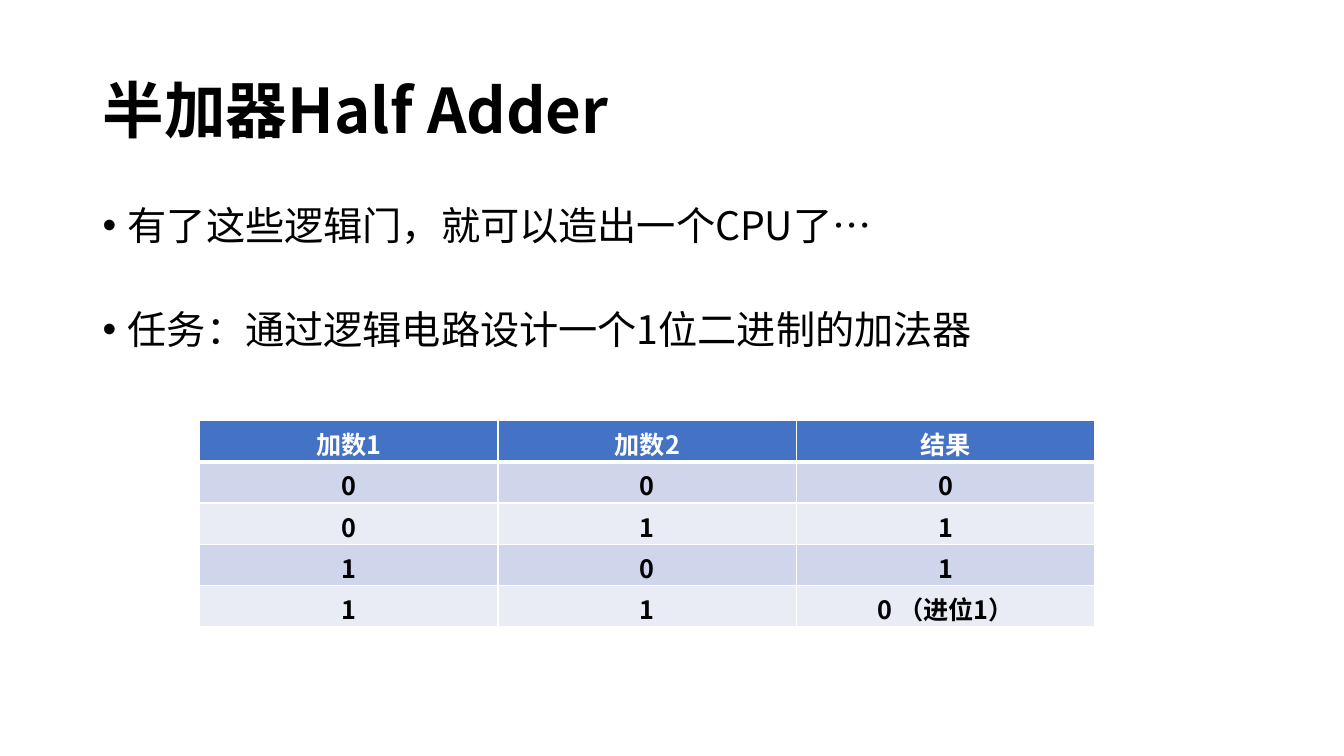
from dataclasses import dataclass

from lxml import etree
from pptx import Presentation
from pptx import util as u
from pptx.dml.color import RGBColor
from pptx.enum import text
from pptx.oxml import ns

PX = 9144  # EMU in one px, at 100 px to the inch


@dataclass(frozen=True)
class Theme:
    font: str = "Noto Sans CJK SC"
    ink: str = "000000"
    paper: str = "FFFFFF"
    header: str = "4472C4"
    bands: tuple[str, str] = ("CFD5EA", "E9EBF5")
    title_size: int = 44
    body_size: int = 28
    table_size: int = 18


@dataclass(frozen=True)
class Area:
    left: int
    top: int
    width: int
    height: int

    def emu(self) -> list[int]:
        return [px * PX for px in (self.left, self.top, self.width, self.height)]


@dataclass(frozen=True)
class Bullet:
    words: str
    space_before: int


THEME = Theme()
PAGE = Area(0, 0, 1333, 750)
TITLE = Area(92, 40, 1150, 145)
BODY = Area(92, 200, 1150, 189)
TABLE = Area(198, 417, 888, 205)
BULLET_INDENT = 25

BULLETS = [
    Bullet("有了这些逻辑门，就可以造出一个CPU了…", 10),
    Bullet("任务：通过逻辑电路设计一个1位二进制的加法器", 44),
]
TRUTH_TABLE = [
    ("加数1", "加数2", "结果"),
    ("0", "0", "0"),
    ("0", "1", "1"),
    ("1", "0", "1"),
    ("1", "1", "0 （进位1）"),
]


def add_child(parent, tag: str, **attributes: str):
    return etree.SubElement(parent, ns.qn(tag), attributes)


def write(para, words: str, *, size: int, color: str = THEME.ink, bold: bool = False,
          align=None, line_spacing: float | None = None, space_before: int = 0) -> None:
    para.alignment = align
    para.line_spacing = line_spacing
    para.space_before = u.Pt(space_before)
    span = para.add_run()
    span.text = words
    span.font.size = u.Pt(size)
    span.font.bold = bold
    span.font.color.rgb = RGBColor.from_string(color)
    span.font.name = THEME.font
    add_child(span.font._element, "a:ea", typeface=THEME.font)


def add_bullet_mark(para) -> None:
    properties = para._p.get_or_add_pPr()
    indent = BULLET_INDENT * PX
    properties.set("marL", str(indent))
    properties.set("indent", str(-indent))
    add_child(properties, "a:buFont", typeface="Arial")
    add_child(properties, "a:buChar", char="•")


def add_text_frame(page, area: Area, anchor):
    frame = page.shapes.add_textbox(*area.emu()).text_frame
    frame.word_wrap = True
    frame.vertical_anchor = anchor
    return frame


def add_borders(cell, widths: dict[str, int]) -> None:
    """Draw the cell's edges; widths maps L, R, T and B to points."""
    properties = cell._tc.get_or_add_tcPr()
    for place, (side, width) in enumerate(widths.items()):
        line = etree.Element(ns.qn(f"a:ln{side}"), w=str(u.Pt(width)))
        add_child(add_child(line, "a:solidFill"), "a:srgbClr", val=THEME.paper)
        properties.insert(place, line)


def add_truth_table(page) -> None:
    table = page.shapes.add_table(len(TRUTH_TABLE), len(TRUTH_TABLE[0]), *TABLE.emu()).table
    for row, values in enumerate(TRUTH_TABLE):
        is_header = row == 0
        fill = THEME.header if is_header else THEME.bands[(row - 1) % 2]
        for column, value in enumerate(values):
            cell = table.cell(row, column)
            cell.fill.solid()
            cell.fill.fore_color.rgb = RGBColor.from_string(fill)
            add_borders(cell, {"L": 1, "R": 1, "T": 3 if row == 1 else 1,
                               "B": 3 if is_header else 1})
            write(cell.text_frame.paragraphs[0], value, size=THEME.table_size, bold=True,
                  color=THEME.paper if is_header else THEME.ink,
                  align=text.PP_ALIGN.CENTER)


def main() -> None:
    deck = Presentation()
    deck.slide_width, deck.slide_height = PAGE.emu()[2:]
    page = deck.slides.add_slide(deck.slide_layouts[6])

    title = add_text_frame(page, TITLE, text.MSO_ANCHOR.MIDDLE)
    write(title.paragraphs[0], "半加器Half Adder", size=THEME.title_size, bold=True,
          line_spacing=0.9)

    body = add_text_frame(page, BODY, text.MSO_ANCHOR.TOP)
    for index, bullet in enumerate(BULLETS):
        para = body.add_paragraph() if index else body.paragraphs[0]
        write(para, bullet.words, size=THEME.body_size, line_spacing=0.9,
              space_before=bullet.space_before)
        add_bullet_mark(para)

    add_truth_table(page)
    deck.save("out.pptx")


if __name__ == "__main__":
    main()
